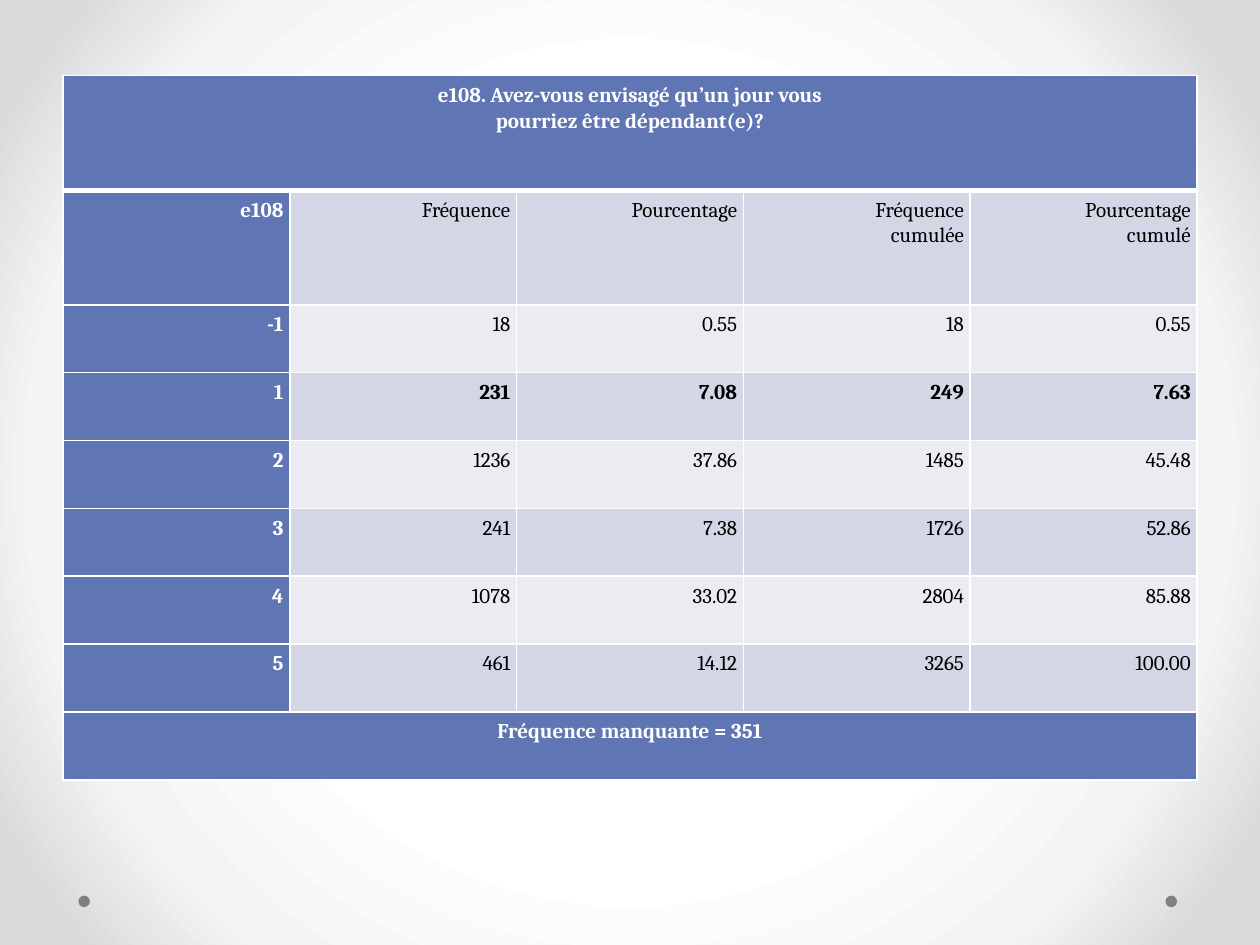
"""Build a one-slide deck with the frequency table of survey question e108."""
from dataclasses import dataclass

from lxml import etree
from pptx import Presentation
from pptx.dml.color import RGBColor
from pptx.enum.shapes import MSO_SHAPE
from pptx.enum.text import PP_ALIGN
from pptx.oxml import parse_xml
from pptx.oxml.ns import nsdecls, qn
from pptx.util import Pt

CENTER, RIGHT = PP_ALIGN.CENTER, PP_ALIGN.RIGHT
OVAL = MSO_SHAPE.OVAL

TITLE = "e108. Avez-vous envisagé qu’un jour vous\npourriez être dépendant(e)?"
HEADINGS = ("e108", "Fréquence", "Pourcentage", "Fréquence\ncumulée", "Pourcentage\ncumulé")
ANSWERS = [
    ("-1", "18", "0.55", "18", "0.55"),
    ("1", "231", "7.08", "249", "7.63"),
    ("2", "1236", "37.86", "1485", "45.48"),
    ("3", "241", "7.38", "1726", "52.86"),
    ("4", "1078", "33.02", "2804", "85.88"),
    ("5", "461", "14.12", "3265", "100.00"),
]
FOOTER = "Fréquence manquante = 351"
HIGHLIGHTED = "1"

SLIDE_WIDTH, SLIDE_HEIGHT = 720, 540
TABLE_LEFT, TABLE_TOP, TABLE_WIDTH = 36, 43.2, 648
TALL_ROW, ROW = 65.5, 38.8
CELL_MARGIN = 3.6
DOT_LEFTS, DOT_TOP, DOT_SIZE = (44.8, 666), 511.8, 6.6


@dataclass(frozen=True)
class Theme:
    """Colours, font and line sizes."""
    accent: str = "6076B4"
    bands: tuple = ("D2D6E5", "EAECF2")
    light: str = "FFFFFF"
    dark: str = "000000"
    dot: str = "808080"
    glow: tuple = ((50, "FFFFFF"), (76, "F4F4F4"), (92, "DADADA"))
    font: str = "Cambria"
    size: float = 12
    spacing: float = 1.07
    rule: float = 1
    thick_rule: float = 3


THEME = Theme()


def paint_background(page):
    """Give the page a circular gradient."""
    stops = "".join(
        f'<a:gs pos="{position * 1000}"><a:srgbClr val="{color}"/></a:gs>'
        for position, color in THEME.glow)
    background = parse_xml(
        f'<p:bg {nsdecls("p", "a")}><p:bgPr><a:gradFill rotWithShape="1">'
        f'<a:gsLst>{stops}</a:gsLst><a:path path="circle">'
        '<a:fillToRect l="50000" t="50000" r="50000" b="50000"/></a:path>'
        '</a:gradFill><a:effectLst/></p:bgPr></p:bg>')
    page.element.cSld.insert(0, background)


def add_dot(page, left):
    """Add one small decorative dot."""
    dot = page.shapes.add_shape(OVAL, Pt(left), Pt(DOT_TOP), Pt(DOT_SIZE), Pt(DOT_SIZE))
    dot.shadow.inherit = False
    dot.fill.solid()
    dot.fill.fore_color.rgb = RGBColor.from_string(THEME.dot)
    dot.line.fill.background()


def draw_borders(cell, row):
    """Draw the four cell borders, thick between the title and the headings."""
    widths = {"L": THEME.rule, "R": THEME.rule,
              "T": THEME.thick_rule if row == 1 else THEME.rule,
              "B": THEME.thick_rule if row == 0 else THEME.rule}
    properties = cell._tc.get_or_add_tcPr()
    for side, width in widths.items():
        line = etree.SubElement(properties, qn(f"a:ln{side}"), w=str(Pt(width)))
        fill = etree.SubElement(line, qn("a:solidFill"))
        etree.SubElement(fill, qn("a:srgbClr"), val=THEME.light)


def style_cell(cell, row, fill):
    """Set the borders, fill and margins of a cell."""
    draw_borders(cell, row)
    cell.fill.solid()
    cell.fill.fore_color.rgb = RGBColor.from_string(fill)
    cell.margin_left = cell.margin_right = Pt(CELL_MARGIN)
    cell.margin_top = cell.margin_bottom = Pt(CELL_MARGIN)


def write_cell(cell, text, align, color, bold):
    """Write one formatted paragraph into a cell."""
    para = cell.text_frame.paragraphs[0]
    para.text = text
    para.alignment = align
    para.line_spacing = THEME.spacing
    for span in para.runs:
        span.font.name = THEME.font
        span.font.size = Pt(THEME.size)
        span.font.bold = bold
        span.font.color.rgb = RGBColor.from_string(color)


def add_frequency_table(page):
    """Add the table with its title, headings, answers and footer."""
    rows = [(TITLE,), HEADINGS, *ANSWERS, (FOOTER,)]
    heights = [TALL_ROW] * 2 + [ROW] * (len(rows) - 2)
    columns = len(HEADINGS)
    table = page.shapes.add_table(
        len(rows), columns, Pt(TABLE_LEFT), Pt(TABLE_TOP),
        Pt(TABLE_WIDTH), Pt(sum(heights))).table
    for column in table.columns:
        column.width = Pt(TABLE_WIDTH / columns)
    for row, (texts, height) in enumerate(zip(rows, heights)):
        table.rows[row].height = Pt(height)
        banner = len(texts) == 1
        for column in range(columns):
            accented = banner or column == 0
            fill = THEME.accent if accented else THEME.bands[(row - 1) % 2]
            style_cell(table.cell(row, column), row, fill)
        if banner:
            table.cell(row, 0).merge(table.cell(row, columns - 1))
        for column, text in enumerate(texts):
            accented = column == 0
            write_cell(table.cell(row, column), text,
                       CENTER if banner else RIGHT,
                       THEME.light if accented else THEME.dark,
                       accented or texts[0] == HIGHLIGHTED)


def main():
    """Build and save the deck."""
    deck = Presentation()
    deck.slide_width, deck.slide_height = Pt(SLIDE_WIDTH), Pt(SLIDE_HEIGHT)
    page = deck.slides.add_slide(deck.slide_layouts[6])
    paint_background(page)
    for left in DOT_LEFTS:
        add_dot(page, left)
    add_frequency_table(page)
    deck.save("out.pptx")


if __name__ == "__main__":
    main()
